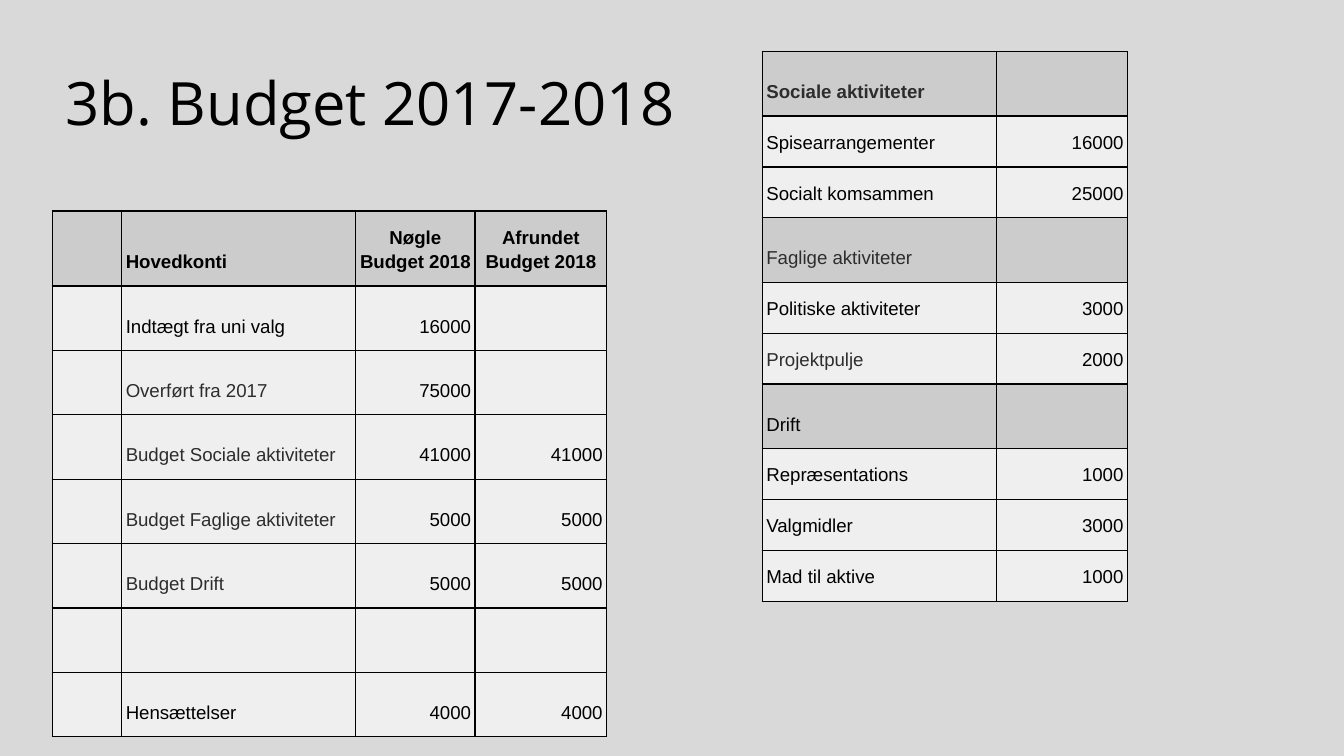
import pptx
import pptx.dml.color
import pptx.enum.text
import pptx.oxml
import pptx.oxml.ns
import pptx.util
from dataclasses import dataclass

Pt = pptx.util.Pt
RGB = pptx.dml.color.RGBColor.from_string
ALIGN = pptx.enum.text.PP_ALIGN
ANCHOR = pptx.enum.text.MSO_ANCHOR


@dataclass
class Theme:
    background: str = "D9D9D9"
    header: str = "CCCCCC"
    row: str = "EFEFEF"
    text: str = "000000"
    soft: str = "2D2D2D"
    title_font: str = "Open Sans"
    table_font: str = "Arial"
    title_size: float = 32
    table_size: float = 10
    border: float = 0.75


theme = Theme()


def style_cell(cell, fill):
    """Fill the cell and draw its four borders."""
    tc_pr = cell._tc.get_or_add_tcPr()
    for side in ("lnL", "lnR", "lnT", "lnB"):
        tc_pr.append(pptx.oxml.parse_xml(
            f'<a:{side} {pptx.oxml.ns.nsdecls("a")} w="{Pt(theme.border)}">'
            f'<a:solidFill><a:srgbClr val="{theme.text}"/></a:solidFill></a:{side}>'))
    cell.fill.solid()
    cell.fill.fore_color.rgb = RGB(fill)
    cell.vertical_anchor = ANCHOR.BOTTOM
    cell.margin_left = cell.margin_right = Pt(2.2)


def write_cell(cell, text, align, color, bold):
    cell.margin_top = cell.margin_bottom = Pt(7.2)
    cell.text = text
    p = cell.text_frame.paragraphs[0]
    p.alignment = align
    p.line_spacing = 1.15
    p.font.name = theme.table_font
    p.font.size = Pt(theme.table_size)
    p.font.bold = bold
    p.font.color.rgb = RGB(color)


prs = pptx.Presentation()
prs.slide_width, prs.slide_height = Pt(720), Pt(405)
s = prs.slides.add_slide(prs.slide_layouts[5])
s.background.fill.solid()
s.background.fill.fore_color.rgb = RGB(theme.background)

title = s.shapes.title
title.left, title.top, title.width, title.height = Pt(28), Pt(28), Pt(353), Pt(47)
tf = title.text_frame
tf.text = "3b. Budget 2017-2018"
tf.word_wrap = True
tf.auto_size = pptx.enum.text.MSO_AUTO_SIZE.NONE
tf.vertical_anchor = ANCHOR.TOP
tf.margin_left = tf.margin_top = tf.margin_right = tf.margin_bottom = Pt(7.2)
p = tf.paragraphs[0]
p.alignment = ALIGN.LEFT
p.font.name = theme.title_font
p.font.size = Pt(theme.title_size)
p.font.color.rgb = RGB(theme.text)

main_rows = [
    ("", "Hovedkonti", "Nøgle Budget 2018", "Afrundet Budget 2018"),
    ("", "Indtægt fra uni valg", "16000", ""),
    ("", "Overført fra 2017", "75000", ""),
    ("", "Budget Sociale aktiviteter", "41000", "41000"),
    ("", "Budget Faglige aktiviteter", "5000", "5000"),
    ("", "Budget Drift", "5000", "5000"),
    ("", "", "", ""),
    ("", "Hensættelser", "4000", "4000"),
]
activity_rows = [
    ("Sociale aktiviteter", ""),
    ("Spisearrangementer", "16000"),
    ("Socialt komsammen", "25000"),
    ("Faglige aktiviteter", ""),
    ("Politiske aktiviteter", "3000"),
    ("Projektpulje", "2000"),
    ("Drift", ""),
    ("Repræsentations", "1000"),
    ("Valgmidler", "3000"),
    ("Mad til aktive", "1000"),
]
soft_labels = {
    "Overført fra 2017", "Budget Sociale aktiviteter", "Budget Faglige aktiviteter",
    "Budget Drift", "Sociale aktiviteter", "Faglige aktiviteter", "Projektpulje",
}

# left, top, column widths, header rows, header height, row height, rows
tables = [
    (28, 113, (37.2, 125.3, 64, 70.5), {0}, 40.3, 34.5, main_rows),
    (408.4, 27.7, (125.3, 70.3), {0, 3, 6}, 34.5, 27.2, activity_rows),
]
for left, top, widths, headers, header_height, row_height, rows in tables:
    heights = [header_height if i in headers else row_height for i in range(len(rows))]
    table = s.shapes.add_table(len(rows), len(widths), Pt(left), Pt(top),
                               Pt(sum(widths)), Pt(sum(heights))).table
    table.horz_banding = False
    table.first_row = False
    for column, width in zip(table.columns, widths):
        column.width = Pt(width)
    for i, values in enumerate(rows):
        table.rows[i].height = Pt(heights[i])
        for j, text in enumerate(values):
            cell = table.cell(i, j)
            style_cell(cell, theme.header if i in headers else theme.row)
            if text:
                align = (ALIGN.RIGHT if text.isdigit()
                         else ALIGN.CENTER if j > 1 else ALIGN.LEFT)
                color = theme.soft if text in soft_labels else theme.text
                write_cell(cell, text, align, color, bold=i == 0)

prs.save("out.pptx")
